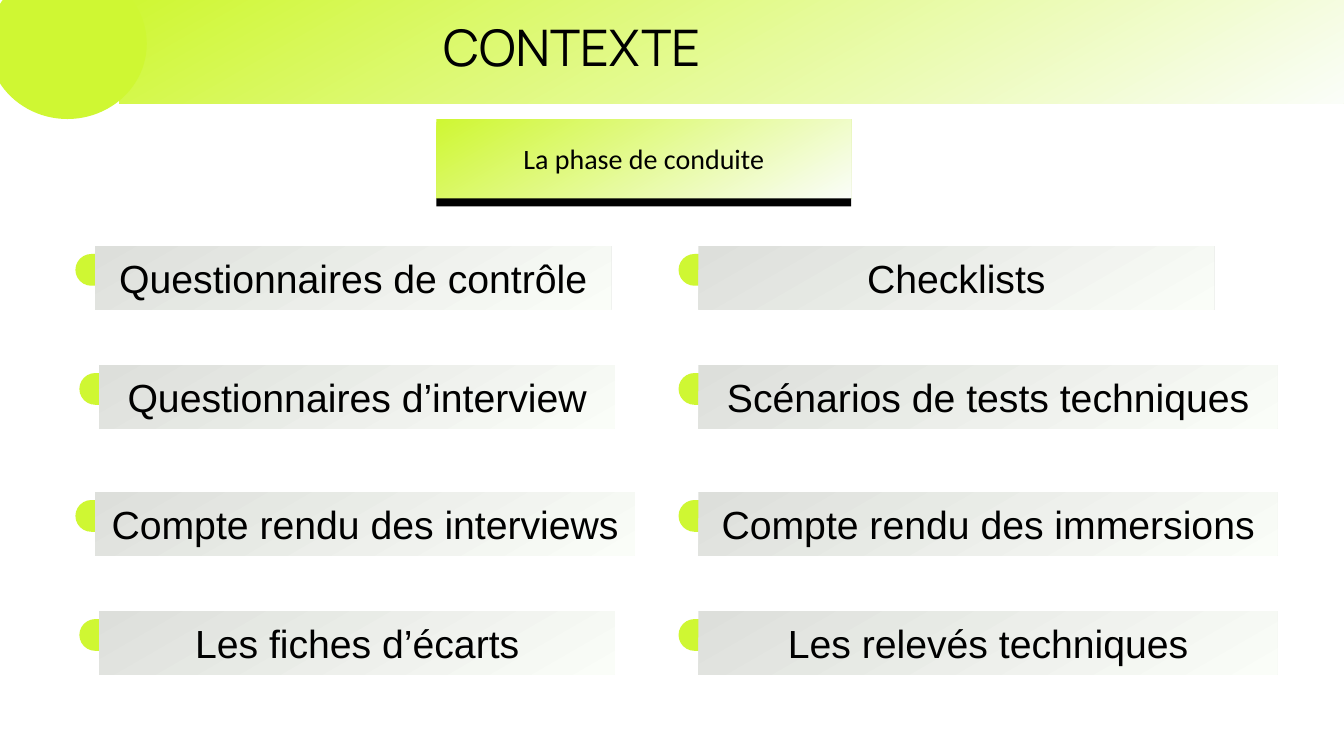
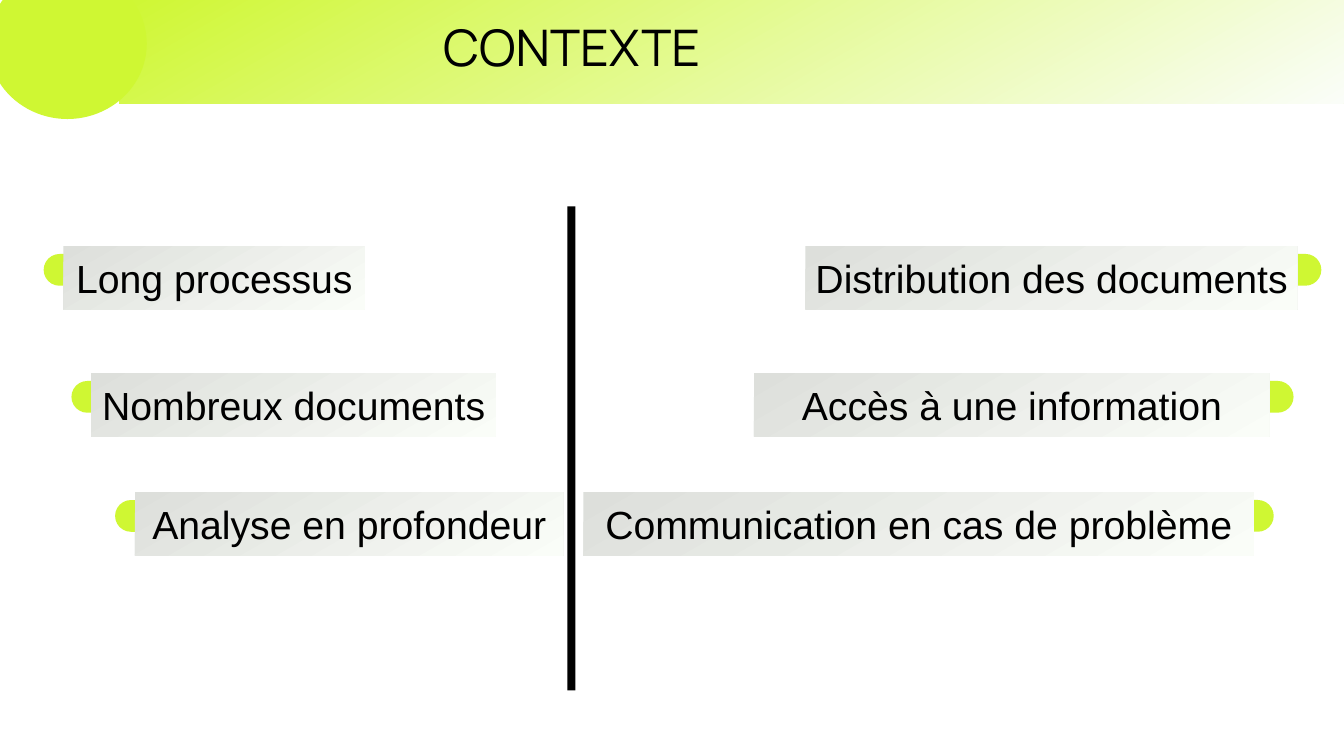
from pptx import Presentation
from pptx.dml.color import RGBColor
from pptx.enum.shapes import MSO_SHAPE
from pptx.enum.text import MSO_ANCHOR, PP_ALIGN
from pptx.util import Cm, Pt

RECTANGLE, OVAL, HALF_PILL = MSO_SHAPE.RECTANGLE, MSO_SHAPE.OVAL, MSO_SHAPE.FLOWCHART_DELAY
MIDDLE, LEFT, CENTER = MSO_ANCHOR.MIDDLE, PP_ALIGN.LEFT, PP_ALIGN.CENTER

LIME = RGBColor(0xCF, 0xF7, 0x33)
GREY = RGBColor(0xDD, 0xDF, 0xDB)
PALE = RGBColor(0xFA, 0xFD, 0xF8)
INK = RGBColor(0x01, 0x01, 0x01)
BLACK = RGBColor(0x00, 0x00, 0x00)

TITLE_FONT = {"name": "Manrope", "size": Pt(36)}
PHASE_FONT = {"name": "Calibri", "size": Pt(20)}
LABEL_FONT = {"name": "Arial", "size": Pt(28)}

SLIDE_WIDTH, SLIDE_HEIGHT = 33.87, 19.05
BAND_LEFT = 3
LABEL_HEIGHT = 1.6
TAB_SIZE = 0.8
LEFT_TAB_SHOWS = 0.5
BAR_THICKNESS = 0.2

# Each label: text, left, top, width in centimetres
TOOL_LABELS = [
    ("Questionnaires de contrôle", 2.4, 6.2, 13),
    ("Checklists", 17.6, 6.2, 13),
    ("Questionnaires d’interview", 2.5, 9.2, 13),
    ("Scénarios de tests techniques", 17.6, 9.2, 14.6),
    ("Compte rendu des interviews", 2.4, 12.4, 13.6),
    ("Compte rendu des immersions", 17.6, 12.4, 14.6),
    ("Les fiches d’écarts", 2.5, 15.4, 13),
    ("Les relevés techniques", 17.6, 15.4, 14.6),
]
WORKLOAD_LABELS = [
    ("Long processus", 1.6, 6.2, 7.6),
    ("Nombreux documents", 2.3, 9.4, 10.2),
    ("Analyse en profondeur", 3.4, 12.4, 10.8),
]
# The last value is how far the tab shows on the right
SHARING_LABELS = [
    ("Distribution des documents", 20.3, 6.2, 12.4, 0.6),
    ("Accès à une information", 19, 9.4, 13, 0.6),
    ("Communication en cas de problème", 14.7, 12.4, 16.9, 0.5),
]


class Deck:
    def __init__(self):
        self.presentation = Presentation()
        self.presentation.slide_width = Cm(SLIDE_WIDTH)
        self.presentation.slide_height = Cm(SLIDE_HEIGHT)
        self.slide = None

    def add_slide(self, title):
        """Start a slide with the shared band, corner disc and title."""
        self.slide = self.presentation.slides.add_slide(self.presentation.slide_layouts[6])
        self.shape(RECTANGLE, BAND_LEFT, 0, SLIDE_WIDTH - BAND_LEFT, 2.6, LIME, PALE)
        self.shape(OVAL, -0.3, -0.8, 4, 3.8, LIME)
        box = self.slide.shapes.add_textbox(Cm(10.92), Cm(0.28), Cm(7.34), Cm(1.73))
        box.text_frame.word_wrap = True
        self.set_text(box, title, TITLE_FONT, LEFT)

    def shape(self, kind, left, top, width, height, color, fade_to=None):
        """Draw a plain shape, or a gradient one when fade_to is given."""
        shape = self.slide.shapes.add_shape(kind, Cm(left), Cm(top), Cm(width), Cm(height))
        shape.shadow.inherit = False
        shape.line.fill.background()
        if fade_to is None:
            shape.fill.solid()
            shape.fill.fore_color.rgb = color
        else:
            shape.fill.gradient()
            shape.fill.gradient_angle = 300
            for stop, stop_color in zip(shape.fill.gradient_stops, (color, fade_to)):
                stop.color.rgb = stop_color
        return shape

    def set_text(self, shape, text, font_format, alignment=CENTER):
        paragraph = shape.text_frame.paragraphs[0]
        paragraph.alignment = alignment
        run = paragraph.add_run()
        run.text = text
        run.font.color.rgb = BLACK
        for name, value in font_format.items():
            setattr(run.font, name, value)

    def phase_box(self, text, left, top, width, height):
        box = self.shape(RECTANGLE, left, top, width, height, LIME, PALE)
        box.text_frame.word_wrap = True
        box.text_frame.vertical_anchor = MIDDLE
        self.set_text(box, text, PHASE_FONT)
        self.shape(RECTANGLE, left, top + height, width, BAR_THICKNESS, INK)

    def label(self, text, left, top, width, right_tab_shows=None):
        """Draw a grey label with a round tab behind its left or right edge."""
        on_left = right_tab_shows is None
        if on_left:
            tab_left = left - LEFT_TAB_SHOWS
        else:
            tab_left = left + width + right_tab_shows - TAB_SIZE
        tab = self.shape(HALF_PILL, tab_left, top + 0.2, TAB_SIZE, TAB_SIZE, LIME)
        tab.rotation = 180 if on_left else 0
        box = self.shape(RECTANGLE, left, top, width, LABEL_HEIGHT, GREY, PALE)
        box.text_frame.word_wrap = False
        box.text_frame.vertical_anchor = MIDDLE
        self.set_text(box, text, LABEL_FONT)

    def labels(self, rows):
        for row in rows:
            self.label(*row)

    def divider(self, left, top, height):
        self.shape(RECTANGLE, left, top, BAR_THICKNESS, height, INK)


def main():
    deck = Deck()

    deck.add_slide("CONTEXTE")
    deck.phase_box("La phase de conduite", 11, 3, 10.45, 2)
    deck.labels(TOOL_LABELS)

    deck.add_slide("CONTEXTE")
    deck.labels(WORKLOAD_LABELS)
    deck.divider(14.3, 5.2, 12.2)
    deck.labels(SHARING_LABELS)

    deck.presentation.save("out.pptx")


if __name__ == "__main__":
    main()
